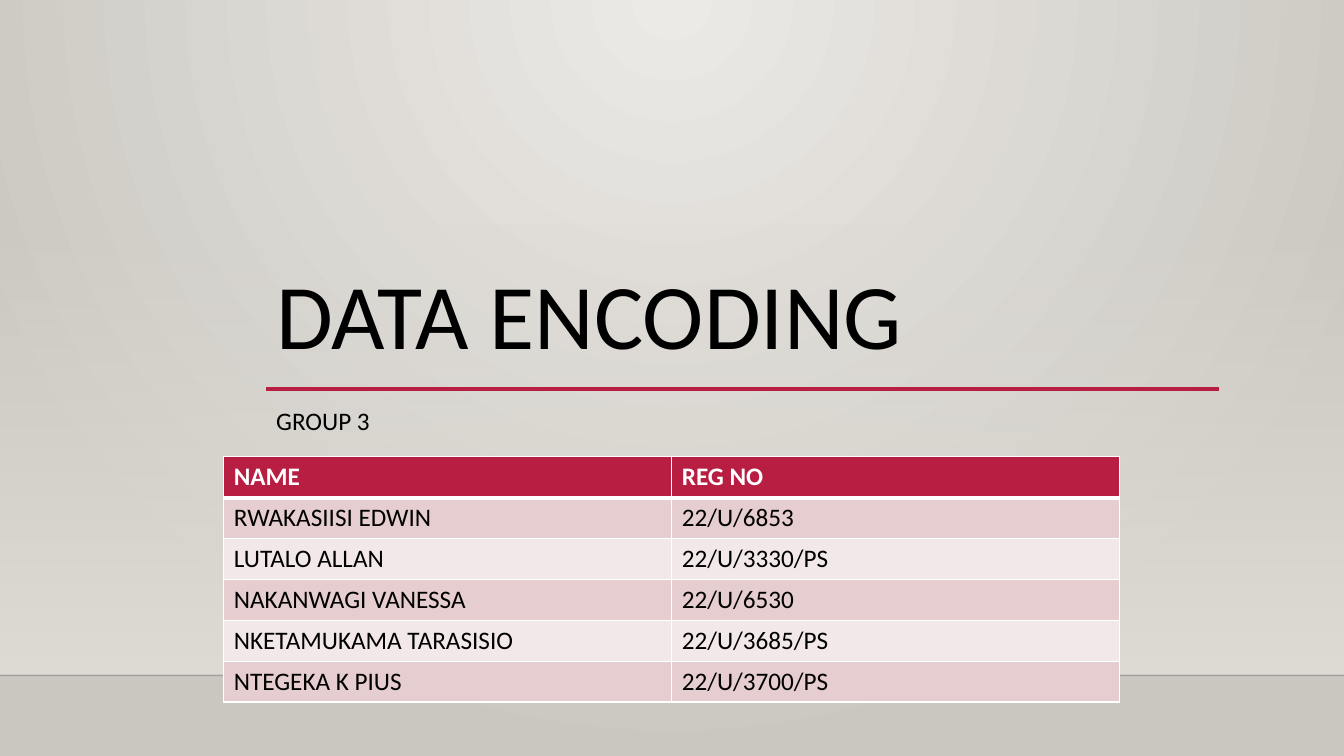
from lxml.etree import SubElement, Element
from pptx import Presentation
from pptx.dml.color import RGBColor
from pptx.enum.shapes import MSO_CONNECTOR as Connector, MSO_SHAPE as Shape
from pptx.enum.text import MSO_ANCHOR as Anchor, MSO_AUTO_SIZE as AutoSize, PP_ALIGN as Align
from pptx.oxml.ns import qn
from pptx.util import Cm, Pt


def color(hex_string):
    return RGBColor.from_string(hex_string)


def format_text(frame, size, hex_string, bold=False):
    para = frame.paragraphs[0]
    para.alignment = Align.LEFT
    font = para.runs[0].font
    font.name, font.size, font.bold = "Calibri", Pt(size), bold
    font.color.rgb = color(hex_string)
    return para


deck = Presentation()
deck.slide_width, deck.slide_height = Cm(33.87), Cm(19.05)
page = deck.slides.add_slide(deck.slide_layouts[5])

backdrop = page.background.fill
backdrop.gradient()
for stop, shade in zip(backdrop.gradient_stops, ("ECEAE7", "CAC7C1")):
    stop.color.rgb = color(shade)
linear = next(page.element.iter(qn("a:lin")))
circle = Element(qn("a:path"), path="circle")
SubElement(circle, qn("a:fillToRect"), l="43000", t="0", r="43000", b="100000")
linear.getparent().replace(linear, circle)

wall = page.shapes.add_shape(Shape.RECTANGLE, 0, Cm(5.61), deck.slide_width, Cm(11.4))
wall.shadow.inherit = False
wall.line.fill.background()
wall.fill.gradient()
wall.fill.gradient_angle = 270
for stop in wall.fill.gradient_stops:
    stop.color.rgb = color("DFDBD5")
SubElement(next(wall.element.iter(qn("a:srgbClr"))), qn("a:alpha"), val="0")

rules = []
for left, right, top, shade, width in (
    (0, 33.87, 17.02, "000001", 1),
    (6.71, 30.71, 9.8, "B71E42", 2.5),
):
    rule = page.shapes.add_connector(Connector.STRAIGHT, Cm(left), Cm(top), Cm(right), Cm(top))
    rule.line.color.rgb = color(shade)
    rule.line.width = Pt(width)
    SubElement(rule.element.spPr, qn("a:effectLst"))
    rules.append(rule)
floor_rule, title_rule = rules
SubElement(next(floor_rule.element.iter(qn("a:srgbClr"))), qn("a:alpha"), val="20000")

title = page.shapes.title
title_rule.element.addnext(title.element)
title.left, title.top, title.width, title.height = Cm(6.71), Cm(2.24), Cm(24), Cm(7.06)
frame = title.text_frame
frame.text = "DATA ENCODING"
frame.word_wrap = True
frame.auto_size = AutoSize.NONE
frame.vertical_anchor = Anchor.BOTTOM
frame.margin_left = frame.margin_right = Cm(0.25)
frame.margin_top, frame.margin_bottom = Cm(0.13), 0
format_text(frame, 66, "000000").line_spacing = 0.9

subtitle = page.shapes.add_textbox(Cm(6.71), Cm(9.8), Cm(24), Cm(2.72))
frame = subtitle.text_frame
frame.text = "GROUP 3"
frame.word_wrap = True
frame.margin_left = frame.margin_right = frame.margin_top = frame.margin_bottom = Cm(0.25)
para = format_text(frame, 18, "000000")
para.line_spacing = 1.2
para.space_before = Pt(10)

members = (
    ("NAME", "REG NO"),
    ("RWAKASIISI EDWIN", "22/U/6853"),
    ("LUTALO ALLAN", "22/U/3330/PS"),
    ("NAKANWAGI VANESSA", "22/U/6530"),
    ("NKETAMUKAMA TARASISIO", "22/U/3685/PS"),
    ("NTEGEKA K PIUS", "22/U/3700/PS"),
)
table = page.shapes.add_table(
    len(members), 2, Cm(5.64), Cm(11.51), Cm(22.58), Cm(6.18)
).table
for row, member in enumerate(members):
    header = row == 0
    fill = "B71E42" if header else ("F3E8E9", "E6CDCF")[row % 2]
    for column, entry in enumerate(member):
        cell = table.cell(row, column)
        cell.text = entry
        format_text(cell.text_frame, 18, "FFFFFF" if header else "000000", header)
        cell.fill.solid()
        cell.fill.fore_color.rgb = color(fill)
        properties = cell._tc.get_or_add_tcPr()
        for place, side in enumerate("LRTB"):
            thick = (row, side) in ((0, "B"), (1, "T"))
            border = Element(qn(f"a:ln{side}"), w=str(Pt(3 if thick else 1)))
            paint = SubElement(border, qn("a:solidFill"))
            SubElement(paint, qn("a:srgbClr"), val="FFFFFF")
            properties.insert(place, border)

deck.save("out.pptx")
